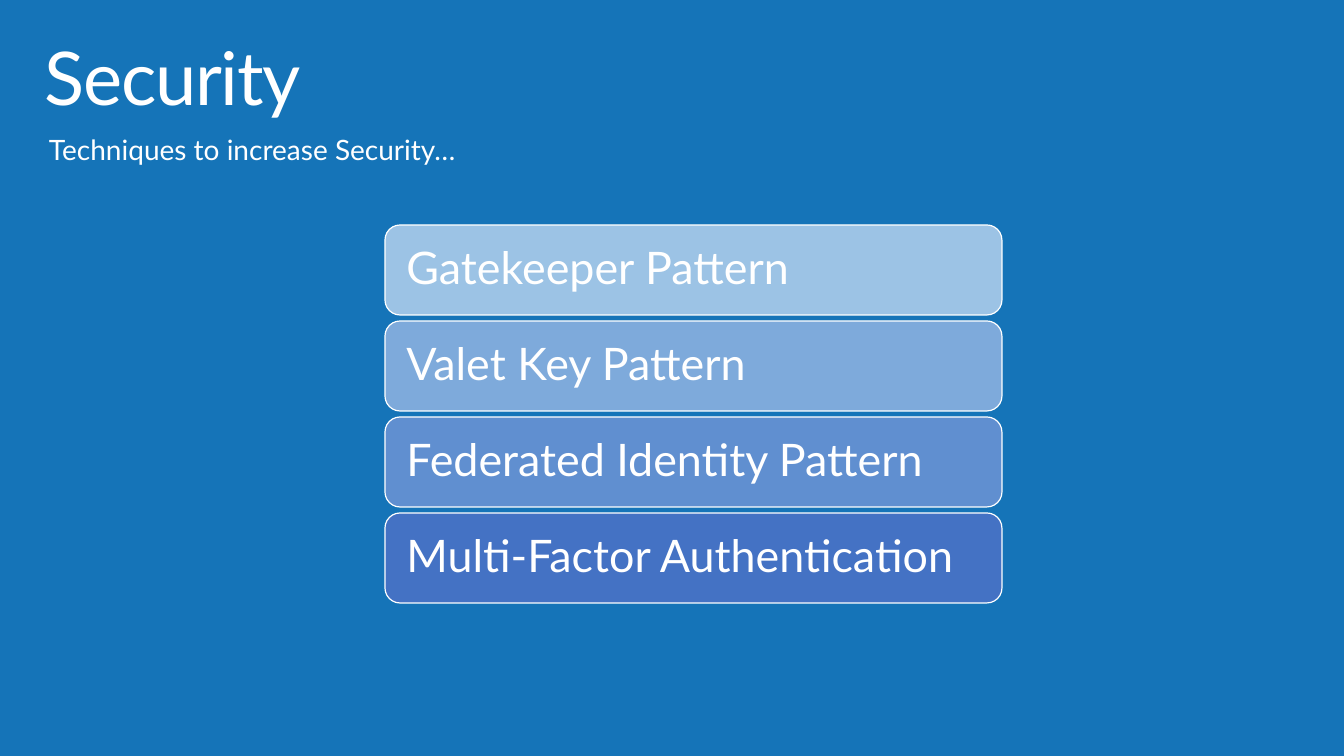
from dataclasses import dataclass

from pptx import Presentation
from pptx.dml.color import RGBColor
from pptx.enum.shapes import MSO_SHAPE
from pptx.enum.text import MSO_ANCHOR, PP_ALIGN
from pptx.util import Pt

ROUNDED = MSO_SHAPE.ROUNDED_RECTANGLE
LEFT, JUSTIFY = PP_ALIGN.LEFT, PP_ALIGN.JUSTIFY
TOP, MIDDLE = MSO_ANCHOR.TOP, MSO_ANCHOR.MIDDLE
EMU_PER_PX = 914400 / 100.8


@dataclass(frozen=True)
class Theme:
    font: str = "Lato"
    background: str = "1574B8"
    text: str = "FFFFFF"
    outline: str = "FFFFFF"
    title_size: float = 52.9
    subtitle_size: float = 20
    pattern_size: float = 32
    outline_width: float = 0.85


THEME = Theme()

PATTERNS = [
    ("Gatekeeper Pattern", "9CC3E5"),
    ("Valet Key Pattern", "7EAADB"),
    ("Federated Identity Pattern", "608FD0"),
    ("Multi-Factor Authentication", "4472C4"),
]
PATTERN_LEFT, PATTERN_TOP = 385, 225
PATTERN_WIDTH, PATTERN_HEIGHT, PATTERN_GAP = 617, 90, 6


def px(length):
    return round(length * EMU_PER_PX)


def color(value):
    return RGBColor.from_string(value)


def write_text(shape, text, size, margins, anchor=TOP, alignment=LEFT):
    text_frame = shape.text_frame
    text_frame.text = text
    text_frame.word_wrap = True
    text_frame.vertical_anchor = anchor
    horizontal, vertical = margins
    text_frame.margin_left = text_frame.margin_right = px(horizontal)
    text_frame.margin_top = text_frame.margin_bottom = px(vertical)
    paragraph = text_frame.paragraphs[0]
    paragraph.alignment = alignment
    paragraph.line_spacing = 0.9
    run = paragraph.runs[0]
    run.font.name = THEME.font
    run.font.size = Pt(size)
    run.font.color.rgb = color(THEME.text)
    return run


def add_label(slide, box, text, size, margins, alignment=LEFT):
    shape = slide.shapes.add_textbox(*map(px, box))
    return write_text(shape, text, size, margins, alignment=alignment)


def add_pattern(slide, row, text, fill):
    top = PATTERN_TOP + row * (PATTERN_HEIGHT + PATTERN_GAP)
    box = (PATTERN_LEFT, top, PATTERN_WIDTH, PATTERN_HEIGHT)
    shape = slide.shapes.add_shape(ROUNDED, *map(px, box))
    shape.shadow.inherit = False
    shape.fill.solid()
    shape.fill.fore_color.rgb = color(fill)
    shape.line.color.rgb = color(THEME.outline)
    shape.line.width = Pt(THEME.outline_width)
    write_text(shape, text, THEME.pattern_size, (17, 17), MIDDLE)


def main():
    presentation = Presentation()
    presentation.slide_width = px(1344)
    presentation.slide_height = px(756)
    slide = presentation.slides.add_slide(presentation.slide_layouts[6])
    slide.background.fill.solid()
    slide.background.fill.fore_color.rgb = color(THEME.background)

    title = add_label(slide, (29, 32, 1272, 99), "Security", THEME.title_size, (16, 10))
    title.font._element.set("spc", "-100")
    add_label(slide, (29, 131, 1272, 74), "Techniques to increase Security…",
              THEME.subtitle_size, (20, 5), JUSTIFY)

    for row, (text, fill) in enumerate(PATTERNS):
        add_pattern(slide, row, text, fill)
    presentation.save("out.pptx")


if __name__ == "__main__":
    main()
